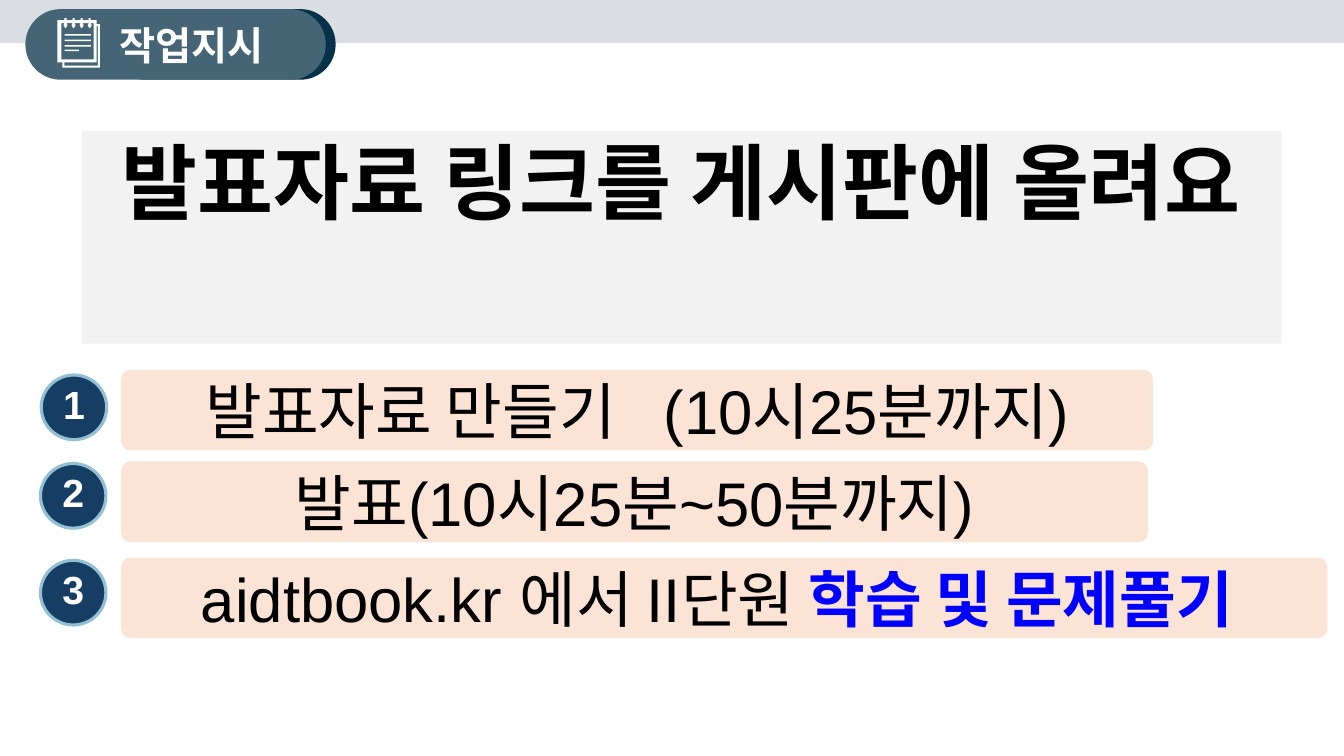
import lxml.etree
import pptx
import pptx.dml.color
import pptx.enum.shapes
import pptx.enum.text
import pptx.oxml.ns
import pptx.util

Cm = pptx.util.Cm
Pt = pptx.util.Pt
SHAPES = pptx.enum.shapes.MSO_SHAPE
MIDDLE = pptx.enum.text.MSO_ANCHOR.MIDDLE
TOP = pptx.enum.text.MSO_ANCHOR.TOP
CENTER = pptx.enum.text.PP_ALIGN.CENTER

STEPS = [
    {"badge": (1.04, 9.45), "card": (9.32, 26.01),
     "spans": [("발표자료 만들기", {}), (" ", {"spacing": 24}), ("(10시25분까지)", {})]},
    {"badge": (1.02, 11.68), "card": (11.63, 25.88),
     "spans": [("발표(10시25분~50분까지)", {})]},
    {"badge": (1.02, 14.12), "card": (14.05, 30.4),
     "spans": [("aidtbook.kr 에서 II단원 ", {}),
               ("학습 및 문제풀기 ", {"color": "0000FF", "bold": True})]},
]


def rgb(value):
    """Turn a hex string into a colour."""
    return pptx.dml.color.RGBColor.from_string(value)


def paint(shape, color):
    """Fill a shape plainly, without line or shadow."""
    shape.shadow.inherit = False
    shape.fill.solid()
    shape.fill.fore_color.rgb = rgb(color)
    shape.line.fill.background()


def add_box(page, kind, place, color, corner=None):
    """Add a preset shape placed in centimetres."""
    box = page.shapes.add_shape(kind, *[Cm(length) for length in place])
    paint(box, color)
    if corner is not None:
        box.adjustments[0] = corner
    return box


def write(box, spans, size, color, bold=False, anchor=MIDDLE, leading=None, inset=None):
    """Write one centred paragraph of formatted spans."""
    frame = box.text_frame
    settings = {"word_wrap": True, "vertical_anchor": anchor,
                "auto_size": pptx.enum.text.MSO_AUTO_SIZE.NONE}
    if inset is not None:
        for side in ("left", "right", "top", "bottom"):
            settings["margin_" + side] = Cm(inset)
    for name, value in settings.items():
        setattr(frame, name, value)
    para = frame.paragraphs[0]
    para.alignment = CENTER
    if leading:
        para.line_spacing = Pt(leading)
    for text, changes in spans:
        span = para.add_run()
        span.text = text
        formats = {"name": "Arial", "size": Pt(size), "bold": changes.get("bold", bold)}
        for name, value in formats.items():
            setattr(span.font, name, value)
        span.font.color.rgb = rgb(changes.get("color", color))
        if "spacing" in changes:
            span.font._element.set("spc", str(changes["spacing"] * 100))


def add_title(page, text):
    """Turn the title placeholder into a rounded card."""
    title = page.shapes.title
    place = {"left": 2.06, "top": 3.3, "width": 30.23, "height": 5.36}
    for name, value in place.items():
        setattr(title, name, Cm(value))
    tag = pptx.oxml.ns.qn
    outline = lxml.etree.SubElement(title._element.spPr, tag("a:prstGeom"), prst="roundRect")
    guides = lxml.etree.SubElement(outline, tag("a:avLst"))
    lxml.etree.SubElement(guides, tag("a:gd"), name="adj", fmla="val 9900")
    paint(title, "F2F2F2")
    write(title, [(text, {})], 59, "000000", bold=True, anchor=TOP, inset=0)


def add_notepad(page):
    """Draw the notepad icon on a grid of hundredths of an inch."""
    rings = range(65, 90, 8)
    edge = [(57, 20)]
    sheet = [(61, 23)]
    for x in rings:
        edge += [(x - 1, 20), (x - 1, 18), (x + 1, 18), (x + 1, 20)]
        sheet += [(x - 1, 23), (x - 2, 25), (x - 1, 27), (x, 28),
                  (x + 1, 27), (x + 2, 25), (x + 1, 23)]
    edge += [(96, 20), (96, 24), (99, 24), (99, 67), (62, 67), (62, 62), (57, 62)]
    sheet += [(93, 23), (93, 59), (61, 59)]
    back = [(97, 26), (97, 65), (64, 65), (64, 62), (96, 62), (96, 26)]
    builder = page.shapes.build_freeform(*edge[0], scale=Cm(2.54) / 100)
    builder.add_line_segments(edge[1:])
    for hole in (back, sheet):
        builder.move_to(*hole[0])
        builder.add_line_segments(hole[1:])
    paint(builder.convert_to_shape(), "FFFFFF")
    for top, width in ((0.86, 0.66), (1, 0.66), (1.14, 0.66), (1.25, 0.36)):
        add_box(page, SHAPES.RECTANGLE, (1.63, top, width, 0.04), "FFFFFF")


def add_header(page, text):
    """Add the top band and the labelled tab."""
    add_box(page, SHAPES.RECTANGLE, (0, 0, 33.87, 1.08), "DADEE2")
    add_box(page, SHAPES.ROUNDED_RECTANGLE, (2.77, 0.23, 5.69, 1.78), "063148", 0.5)
    add_box(page, SHAPES.ROUNDED_RECTANGLE, (0.64, 0.23, 7.57, 1.78), "456576", 0.5)
    label = page.shapes.add_textbox(Cm(2.51), Cm(0.41), Cm(4.62), Cm(1.42))
    write(label, [(text, {})], 28, "FFFFFF", bold=True, anchor=TOP)
    add_notepad(page)


def add_step(page, number, step):
    """Add a numbered badge and its card."""
    badge = add_box(page, SHAPES.OVAL, (*step["badge"], 1.65, 1.63), "163E64")
    badge.line.color.rgb = rgb("93C0D4")
    badge.line.width = Pt(2.25)
    write(badge, [(str(number), {})], 28, "FFFFFF", bold=True, leading=28)
    top, width = step["card"]
    card = add_box(page, SHAPES.ROUNDED_RECTANGLE, (3.05, top, width, 2.03), "FBE3D6", 0.116)
    write(card, step["spans"], 44, "000000")


def main():
    """Build and save the slide."""
    deck = pptx.Presentation()
    deck.slide_width, deck.slide_height = Cm(33.87), Cm(19.05)
    page = deck.slides.add_slide(deck.slide_layouts[5])
    add_header(page, "작업지시")
    add_title(page, "발표자료 링크를 게시판에 올려요")
    for number, step in enumerate(STEPS, 1):
        add_step(page, number, step)
    deck.save("out.pptx")


if __name__ == "__main__":
    main()
